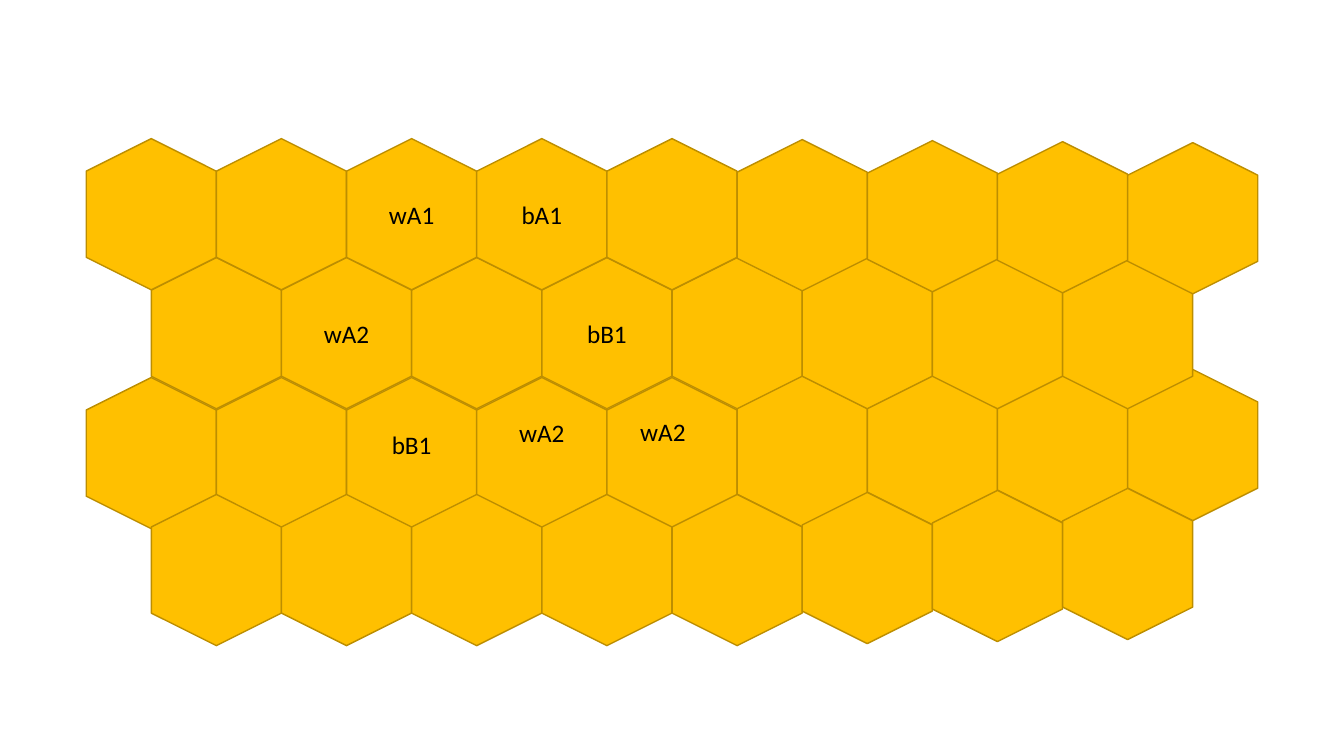
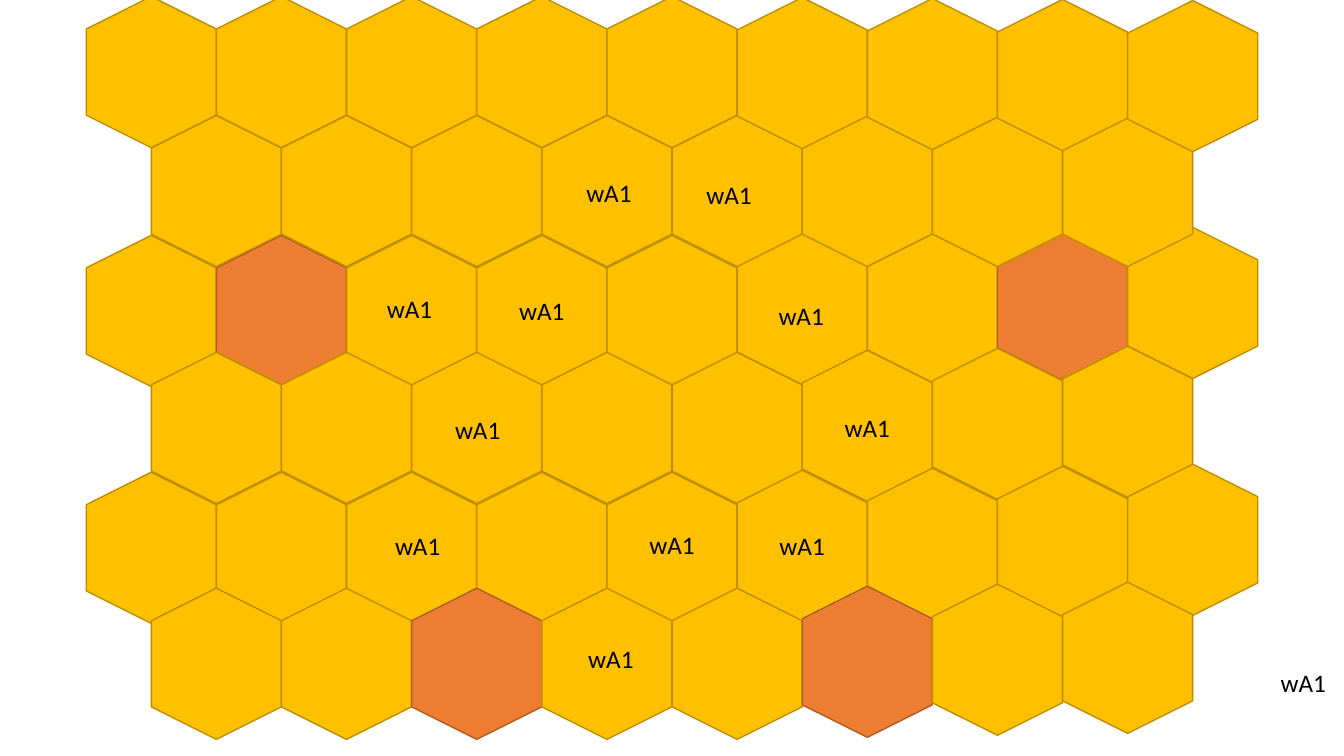
from pptx import Presentation
from pptx.dml.color import RGBColor
from pptx.enum.shapes import MSO_SHAPE
from pptx.enum.text import MSO_AUTO_SIZE, PP_ALIGN
from pptx.util import Inches, Pt

HEXAGON = MSO_SHAPE.HEXAGON
CENTER = PP_ALIGN.CENTER
FIT_SHAPE = MSO_AUTO_SIZE.SHAPE_TO_FIT_TEXT

COLORS = {
    "honey": "FFC000",
    "honey_edge": "BD8E00",
    "orange": "ED7D31",
    "orange_edge": "AF5C24",
    "text": "000000",
}
FONT = "Calibri"
SLIDE_W, SLIDE_H = 13.33, 7.5
BOARD_LEFT = 0.75
COLS = 9
PITCH = 10.33 / (COLS - 1)
HEX_W, HEX_H = 1.5, 1.29
LABEL_W, LABEL_H = 1.12, 0.4
LEVEL_COLS = 4
ROW_TOPS = (0, 1.18, 2.37, 3.53, 4.72, 5.87)
ROW_TILTS = (0.01, 0, -0.02, -0.02, -0.02, -0.02)
STACKING = (2, 1, 0, 3, 4, 5)

BOARDS = (
    {
        "top": 1.48,
        "rows": 4,
        "orange": (),
        "labels": (
            ("wA1", 0, 2, 0, 0),
            ("bA1", 0, 3, 0, 0),
            ("bB1", 2, 2, 0, -0.08),
            ("wA2", 1, 1, 0, 0),
            ("bB1", 1, 3, 0, 0),
            ("wA2", 2, 3, 0, -0.2),
            ("wA2", 2, 4, -0.09, -0.21),
        ),
    },
    {
        "top": 0.07,
        "rows": 6,
        "orange": ((2, 1), (2, 7), (5, 2), (5, 5)),
        "labels": (
            ("wA1", 5, 8, 0.45, 0.27),
            ("wA1", 2, 3, 0, 0),
            ("wA1", 3, 2, 0.01, 0.02),
            ("wA1", 1, 4, -0.08, 0.03),
            ("wA1", 4, 2, 0.06, -0.02),
            ("wA1", 2, 2, -0.02, -0.02),
            ("wA1", 4, 4, 0, -0.03),
            ("wA1", 5, 3, 0.04, -0.05),
            ("wA1", 3, 5, 0, 0.02),
            ("wA1", 4, 5, 0, 0),
            ("wA1", 2, 5, -0.01, 0.07),
            ("wA1", 1, 3, 0.02, 0.02),
        ),
    },
)


def rgb(name):
    return RGBColor.from_string(COLORS[name])


def cell_center(left, top, row, col):
    x = left + PITCH * (col + row % 2 / 2)
    y = top + ROW_TOPS[row] + ROW_TILTS[row] * max(0, col - LEVEL_COLS)
    return x + HEX_W / 2, y + HEX_H / 2


def centered_box(center, w, h):
    x, y = center
    return [Inches(v) for v in (x - w / 2, y - h / 2, w, h)]


def add_cell(s, center, color):
    sp = s.shapes.add_shape(HEXAGON, *centered_box(center, HEX_W, HEX_H))
    sp.rotation = 270
    sp.shadow.inherit = False
    sp.fill.solid()
    sp.fill.fore_color.rgb = rgb(color)
    sp.line.color.rgb = rgb(color + "_edge")
    sp.line.width = Pt(1)


def add_label(s, center, text):
    tf = s.shapes.add_textbox(*centered_box(center, LABEL_W, LABEL_H)).text_frame
    tf.word_wrap = True
    tf.auto_size = FIT_SHAPE
    tf.text = text
    p = tf.paragraphs[0]
    p.alignment = CENTER
    r = p.runs[0]
    r.font.name = FONT
    r.font.size = Pt(18)
    r.font.color.rgb = rgb("text")


def add_board(s, left, top, rows, orange, labels):
    for row in STACKING:
        if row >= rows:
            continue
        for col in range(COLS - row % 2):
            color = "orange" if (row, col) in orange else "honey"
            add_cell(s, cell_center(left, top, row, col), color)
    for text, row, col, dx, dy in labels:
        x, y = cell_center(left, top, row, col)
        add_label(s, (x + dx, y + dy), text)


prs = Presentation()
prs.slide_width, prs.slide_height = Inches(SLIDE_W), Inches(SLIDE_H)
blank = prs.slide_layouts[6]
for board in BOARDS:
    add_board(prs.slides.add_slide(blank), BOARD_LEFT, **board)
prs.save("out.pptx")
